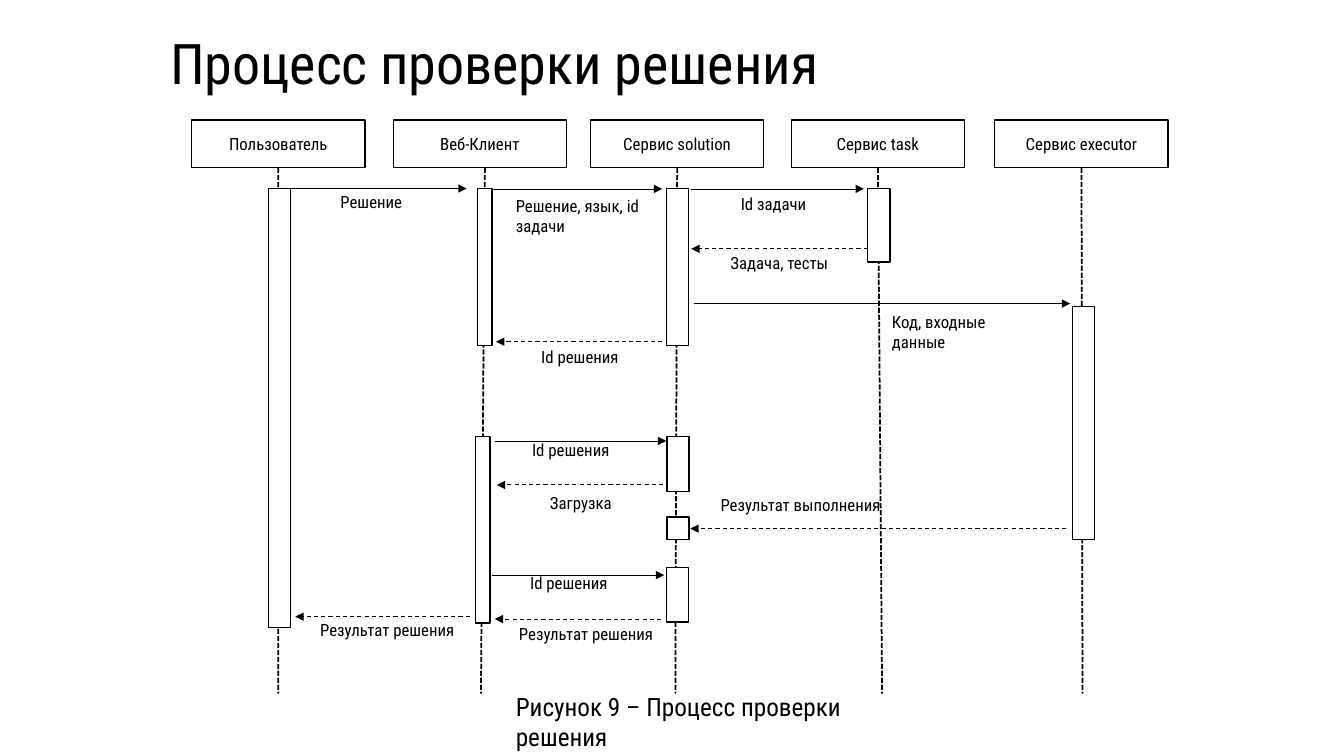
"""Build a sequence diagram slide of the solution checking process."""
import pptx
import pptx.util
import pptx.dml.color
import pptx.enum.dml
import pptx.enum.shapes
import pptx.enum.text
import pptx.oxml.ns
import lxml.etree

Cm = pptx.util.Cm
Pt = pptx.util.Pt
Anchor = pptx.enum.text.MSO_ANCHOR
Dash = pptx.enum.dml.MSO_LINE

FONT = "Roboto Condensed"
COLOURS = {"ink": "000000", "paper": "FFFFFF"}

TITLE = ("Процесс проверки решения", 4.04, 0.61, 29.21, 2.11)
CAPTION = ("Рисунок 9 – Процесс проверки решения", 12.75, 17.3, 10.72, 1.02)

HEADER_TOP, HEADER_WIDTH, HEADER_HEIGHT = 3.02, 4.37, 1.21
LIFELINE_END = 17.48
BAR_WIDTH, CLIENT_BAR_WIDTH = 0.56, 0.36
LABEL_HEIGHT = 0.86

# name, header left, lifeline top x, lifeline bottom x
PARTICIPANTS = [
    ("Пользователь", 4.83, 7.01, 7.01),
    ("Веб-Клиент", 9.91, 12.22, 12.12),
    ("Сервис solution", 14.88, 17.07, 17.02),
    ("Сервис task", 19.94, 22.13, 22.23),
    ("Сервис executor", 25.07, 27.26, 27.28),
]

# left, top, width, height
ACTIVATIONS = [
    (6.76, 4.75, BAR_WIDTH, 11.07),
    (12.04, 4.75, CLIENT_BAR_WIDTH, 3.96),
    (11.99, 11.0, CLIENT_BAR_WIDTH, 4.7),
    (16.79, 4.75, BAR_WIDTH, 3.96),
    (16.81, 11.0, BAR_WIDTH, 1.38),
    (16.81, 13.03, BAR_WIDTH, 0.56),
    (16.79, 14.3, BAR_WIDTH, 1.38),
    (21.87, 4.75, BAR_WIDTH, 1.85),
    (27.03, 7.72, BAR_WIDTH, 5.87),
]

# text, from x, to x, y, label left, label top, label width
MESSAGES = [
    ("Решение", 7.01, 11.76, 4.75, 8.33, 4.7, 2.41),
    ("Решение, язык, id задачи", 12.37, 16.69, 4.76, 12.75, 4.8, 3.78),
    ("Id задачи", 17.42, 21.77, 4.76, 18.42, 4.75, 2.84),
    ("Задача, тесты", 21.87, 17.42, 6.27, 18.16, 6.25, 3.43),
    ("Код, входные данные", 17.5, 26.97, 7.65, 22.23, 7.72, 4.17),
    ("Id решения", 16.69, 12.5, 8.61, 13.39, 8.61, 2.84),
    ("Id решения", 12.47, 16.79, 11.11, 13.16, 10.95, 2.84),
    ("Загрузка", 16.71, 12.52, 12.22, 13.61, 12.29, 2.18),
    ("Результат выполнения", 26.87, 17.4, 13.32, 17.91, 12.34, 4.72),
    ("Id решения", 12.4, 16.74, 14.49, 13.11, 14.3, 2.84),
    ("Результат решения", 16.66, 12.47, 15.6, 12.83, 15.6, 4.19),
    ("Результат решения", 11.84, 7.44, 15.54, 7.82, 15.49, 4.19),
]


def colour(name):
    return pptx.dml.color.RGBColor.from_string(COLOURS[name])


def write(shape, text, size):
    shape.text_frame.word_wrap = True
    para = shape.text_frame.paragraphs[0]
    para.text = text
    para.font.name = FONT
    para.font.size = Pt(size)
    para.font.color.rgb = colour("ink")
    return para


def add_text(page, text, left, top, width, height, size):
    box = page.shapes.add_textbox(Cm(left), Cm(top), Cm(width), Cm(height))
    write(box, text, size)
    return box


def add_box(page, left, top, width, height):
    box = page.shapes.add_shape(
        pptx.enum.shapes.MSO_SHAPE.RECTANGLE,
        Cm(left), Cm(top), Cm(width), Cm(height))
    box.shadow.inherit = False
    box.fill.solid()
    box.fill.fore_color.rgb = colour("paper")
    box.line.color.rgb = colour("ink")
    box.line.width = Pt(1)
    return box


def add_line(page, start, end, width, dash=None, arrow=False):
    line = page.shapes.add_connector(
        pptx.enum.shapes.MSO_CONNECTOR.STRAIGHT,
        Cm(start[0]), Cm(start[1]), Cm(end[0]), Cm(end[1]))
    line.line.color.rgb = colour("ink")
    line.line.width = Pt(width)
    if dash:
        line.line.dash_style = dash
    if arrow:
        lxml.etree.SubElement(line.line._get_or_add_ln(),
                              pptx.oxml.ns.qn("a:tailEnd"), type="triangle")
    lxml.etree.SubElement(line._element.spPr, pptx.oxml.ns.qn("a:effectLst"))
    return line


def add_participant(page, name, left, top_x, bottom_x):
    header = add_box(page, left, HEADER_TOP, HEADER_WIDTH, HEADER_HEIGHT)
    header.text_frame.vertical_anchor = Anchor.MIDDLE
    write(header, name, 12).alignment = pptx.enum.text.PP_ALIGN.CENTER
    lifeline = add_line(page, (top_x, HEADER_TOP + HEADER_HEIGHT),
                        (bottom_x, LIFELINE_END), 1.25, Dash.SQUARE_DOT)
    if abs(left + HEADER_WIDTH / 2 - top_x) < 0.05:
        lifeline.begin_connect(header, 2)


def add_message(page, text, start_x, end_x, y, left, top, width):
    reply = end_x < start_x
    add_line(page, (start_x, y), (end_x, y), 0.75 if reply else 0.5,
             Dash.DASH if reply else None, arrow=True)
    add_text(page, text, left, top, width, LABEL_HEIGHT, 12)


def main():
    deck = pptx.Presentation()
    deck.slide_width, deck.slide_height = Cm(33.87), Cm(19.05)
    page = deck.slides.add_slide(deck.slide_layouts[6])
    title = add_text(page, *TITLE, 40)
    title.text_frame.vertical_anchor = Anchor.MIDDLE
    title.text_frame.paragraphs[0].line_spacing = 0.9
    for participant in PARTICIPANTS:
        add_participant(page, *participant)
    for activation in ACTIVATIONS:
        add_box(page, *activation)
    for message in MESSAGES:
        add_message(page, *message)
    add_text(page, *CAPTION, 18)
    deck.save("out.pptx")


if __name__ == "__main__":
    main()
